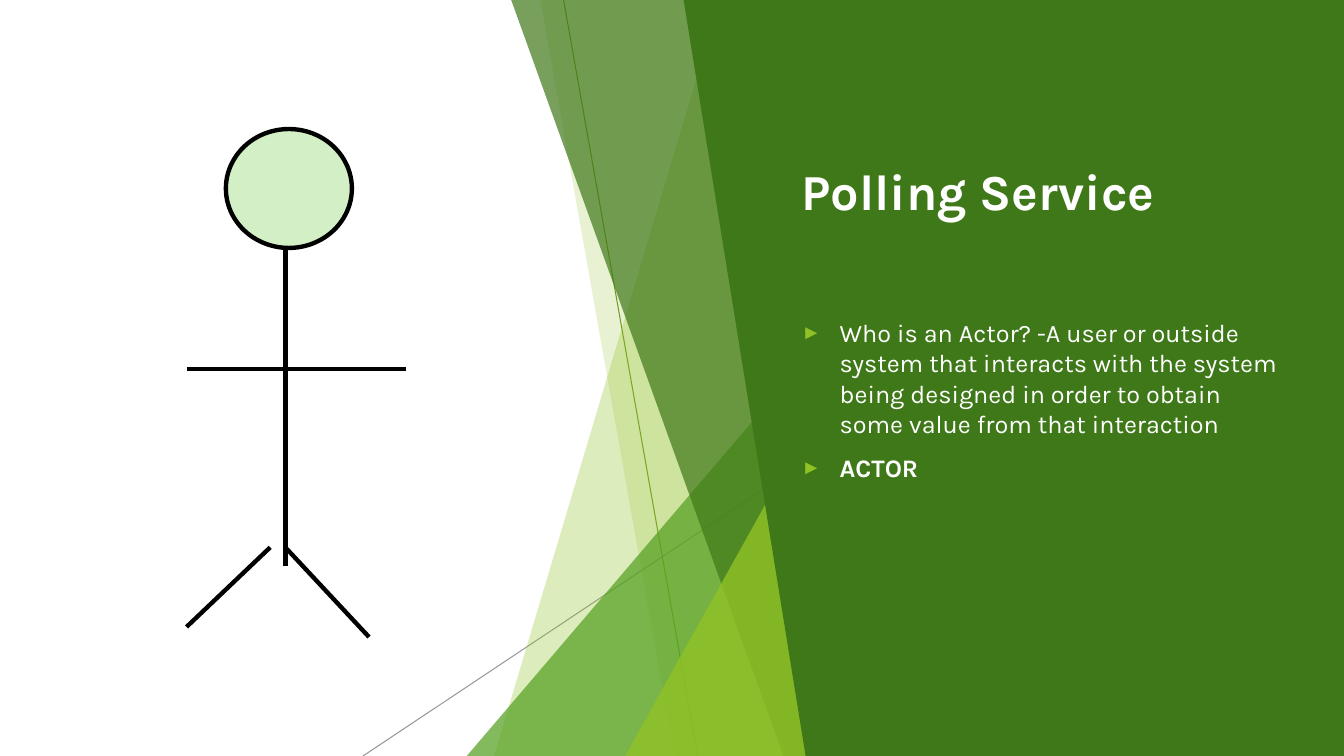
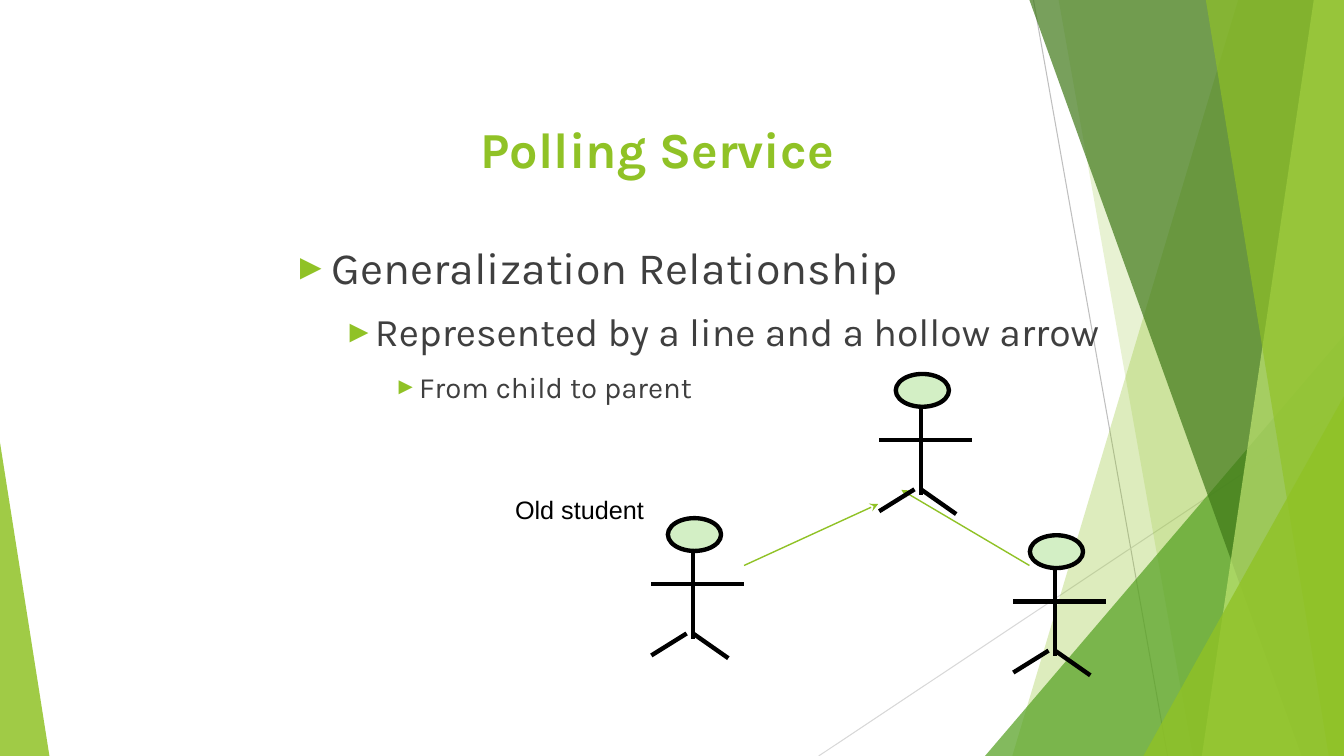
from dataclasses import dataclass
from typing import Any

from lxml.etree import SubElement
from pptx import Presentation
from pptx.dml.color import RGBColor
from pptx.enum.shapes import MSO_CONNECTOR, MSO_SHAPE
from pptx.enum.text import MSO_ANCHOR, PP_ALIGN
from pptx.oxml.ns import qn
from pptx.util import Inches, Pt

STRAIGHT = MSO_CONNECTOR.STRAIGHT
OVAL, WEDGE = MSO_SHAPE.OVAL, MSO_SHAPE.ISOSCELES_TRIANGLE
LEFT, CENTER = PP_ALIGN.LEFT, PP_ALIGN.CENTER
TOP, MIDDLE = MSO_ANCHOR.TOP, MSO_ANCHOR.MIDDLE

Point = tuple[float, float]
Box = tuple[float, float, float, float]


@dataclass(frozen=True)
class Theme:
    lime: str = "90C226"
    pale: str = "BFE471"
    leaf: str = "54A021"
    deep: str = "3F7818"
    mint: str = "D3EFC5"
    white: str = "FFFFFF"
    black: str = "000000"
    gray: str = "3F3F3F"
    font: str = "Karla"
    plain: str = "Arial"
    title: float = 36
    large: float = 32
    mid: float = 28
    small: float = 21
    text: float = 18
    thin: float = 0.75
    link: float = 1
    bold: float = 3.12


THEME = Theme()
WIDE, HIGH = 13.33, 7.5


@dataclass(frozen=True)
class Facet:
    """A sheer pane; top and foot are measured leftward from its right edge."""
    top: float
    foot: float
    color: str
    alpha: int
    outer: bool = False


@dataclass(frozen=True)
class Peak:
    """A right triangle standing on the slide's foot."""
    wide: float
    top: float
    color: str
    alpha: int
    outer: bool = False


@dataclass(frozen=True)
class Ray:
    start: Point
    end: Point
    color: str
    alpha: int = 100


@dataclass(frozen=True)
class Item:
    text: str
    size: float
    left: float = 0.38
    hang: float = 0.38
    bold: bool = False


FACETS = (
    Facet(1.05, 3.29, THEME.lime, 30),
    Facet(2.83, 1.5, THEME.lime, 20),
    Peak(3.56, 3.33, THEME.leaf, 72),
    Facet(3.12, 0.42, THEME.deep, 70),
    Facet(0.3, 1.41, THEME.pale, 70, outer=True),
    Facet(1.37, 0.15, THEME.lime, 65, outer=True),
    Peak(1.99, 3.93, THEME.lime, 80),
)

# Stick figure, laid out on its own grid
BODY: Point = (2.18, 5.04)
HEAD: Box = (0.39, 0, 1.25, 1.18)
LIMBS: tuple[tuple[Point, Point], ...] = (
    ((0.98, 1.18), (0.98, 4.34)),
    ((0, 2.38), (2.18, 2.38)),
    ((0.83, 4.15), (0, 4.94)),
    ((0.98, 4.15), (1.81, 5.04)),
)


def rgb(color: str) -> RGBColor:
    return RGBColor.from_string(color)


def fade(shape: Any, alpha: int) -> None:
    """Make the shape's first plain colour see-through."""
    if alpha < 100:
        tint = shape.element.find(".//" + qn("a:srgbClr"))
        SubElement(tint, qn("a:alpha"), val=str(alpha * 1000))


def paint(shape: Any, color: str, alpha: int = 100) -> None:
    shape.shadow.inherit = False
    shape.fill.solid()
    shape.fill.fore_color.rgb = rgb(color)
    shape.line.fill.background()
    fade(shape, alpha)


def stroke(shapes: Any, start: Point, end: Point, *, color: str,
           width: float, alpha: int = 100, arrow: bool = False) -> None:
    line = shapes.add_connector(STRAIGHT, *map(Inches, start + end))
    line.line.color.rgb = rgb(color)
    line.line.width = Pt(width)
    fade(line, alpha)
    props = line.element.spPr
    if arrow:
        SubElement(props.find(qn("a:ln")), qn("a:tailEnd"), type="stealth")
    SubElement(props, qn("a:effectLst"))


def pane(shapes: Any, points: list[Point], color: str,
         alpha: int = 100) -> None:
    first, *rest = [(Inches(x), Inches(y)) for x, y in points]
    form = shapes.build_freeform(*first)
    form.add_line_segments(rest)
    paint(form.convert_to_shape(), color, alpha)


def wedge(shapes: Any, box: Box, apex: float, color: str, alpha: int) -> None:
    shape = shapes.add_shape(WEDGE, *map(Inches, box))
    shape.adjustments[0] = apex
    paint(shape, color, alpha)


def backdrop(shapes: Any, edge: float, rays: tuple[Ray, ...],
             outer: bool) -> None:
    """Draw rays and facets up to the given right edge."""
    for ray in rays:
        stroke(shapes, ray.start, ray.end, color=ray.color,
               width=THEME.thin, alpha=ray.alpha)
    for part in FACETS:
        if part.outer and not outer:
            continue
        if isinstance(part, Peak):
            box = (edge - part.wide, part.top, part.wide, HIGH - part.top)
            wedge(shapes, box, 1, part.color, part.alpha)
        else:
            pane(shapes, [(edge - part.top, 0), (edge, 0), (edge, HIGH),
                          (edge - part.foot, HIGH)], part.color, part.alpha)


def bullet(para: Any, item: Item) -> None:
    props = para._p.get_or_add_pPr()
    props.set("marL", str(Inches(item.left)))
    props.set("indent", str(-Inches(item.hang)))
    tint = SubElement(props, qn("a:buClr"))
    SubElement(tint, qn("a:srgbClr"), val=THEME.lime)
    SubElement(props, qn("a:buSzPct"), val="80000")
    SubElement(props, qn("a:buFont"), typeface=THEME.plain)
    SubElement(props, qn("a:buChar"), char="►")


def write(shapes: Any, box: Box, *items: Item, color: str,
          font: str = THEME.font, align: PP_ALIGN = LEFT,
          anchor: MSO_ANCHOR = TOP, marks: bool = False) -> None:
    frame = shapes.add_textbox(*map(Inches, box)).text_frame
    frame.word_wrap = True
    frame.vertical_anchor = anchor
    for spot, item in enumerate(items):
        para = frame.add_paragraph() if spot else frame.paragraphs[0]
        para.alignment = align
        if spot:
            para.space_before = Pt(10)
        if marks:
            bullet(para, item)
        run = para.add_run()
        run.text = item.text
        run.font.name = font
        run.font.size = Pt(item.size)
        run.font.bold = item.bold
        run.font.color.rgb = rgb(color)


def title(shapes: Any, box: Box, color: str, **style: Any) -> None:
    item = Item("Polling Service", THEME.title, bold=True)
    write(shapes, box, item, color=color, **style)


def actor(shapes: Any, left: float, top: float, wide: float,
          high: float) -> None:
    """Draw a grouped stick figure scaled to the given box."""
    group = shapes.add_group_shape().shapes
    across, down = wide / BODY[0], high / BODY[1]

    def place(point: Point) -> Point:
        return left + point[0] * across, top + point[1] * down

    for start, end in LIMBS:
        stroke(group, place(start), place(end), color=THEME.black,
               width=THEME.bold)
    size = (HEAD[2] * across, HEAD[3] * down)
    head = group.add_shape(OVAL, *map(Inches, place(HEAD[:2]) + size))
    paint(head, THEME.mint)
    head.line.color.rgb = rgb(THEME.black)
    head.line.width = Pt(THEME.bold)


def define(shapes: Any) -> None:
    """Fill the slide that says what an actor is."""
    rays = (Ray((5.59, 0), (6.92, HIGH), "6C911C"),
            Ray((8.81, 4.03), (3.6, HIGH), "7F7F7F", 80))
    backdrop(shapes, 8.19, rays, outer=False)
    pane(shapes, [(6.78, 0), (WIDE, 0), (WIDE, HIGH), (7.99, HIGH)],
         THEME.deep)
    title(shapes, (7.85, 0.67, 4.94, 2.44), THEME.white, anchor=MIDDLE)
    write(shapes, (7.85, 3.1, 4.94, 3.63),
          Item("Who is an Actor? -A user or outside system that interacts "
               "with the system being designed in order to obtain some "
               "value from that interaction", THEME.text),
          Item("ACTOR", THEME.text, bold=True),
          color=THEME.white, marks=True)
    actor(shapes, 1.85, 1.28, *BODY)


def relate(shapes: Any) -> None:
    """Fill the slide on links from child to parent."""
    rays = (Ray((10.25, 0), (11.58, HIGH), "BFBFBF"),
            Ray((WIDE, 4.03), (8.12, HIGH), "D8D8D8"))
    backdrop(shapes, WIDE, rays, outer=True)
    wedge(shapes, (0, 4.39, 0.49, 3.11), 0, THEME.lime, 85)
    title(shapes, (2.68, 1.12, 7.68, 0.82), THEME.lime, align=CENTER)
    write(shapes, (2.81, 2.33, 8.27, 5.17),
          Item("Generalization Relationship", THEME.large),
          Item("Represented by a line and a hollow arrow", THEME.mid,
               0.81, 0.31),
          Item("From child to parent", THEME.small, 1.25, 0.25),
          color=THEME.gray, marks=True)
    for start, end in (((10.21, 5.61), (8.94, 4.86)),
                       ((7.38, 5.61), (8.71, 5))):
        stroke(shapes, start, end, color=THEME.lime, width=THEME.link,
               arrow=True)
    for left, top in ((6.46, 5.14), (8.72, 3.71), (10.05, 5.31)):
        actor(shapes, left, top, 0.92, 1.39)
    write(shapes, (5.01, 4.85, 1.62, 0.4), Item("Old student", THEME.text),
          color=THEME.black, font=THEME.plain)


def main() -> None:
    deck = Presentation()
    deck.slide_width, deck.slide_height = Inches(WIDE), Inches(HIGH)
    blank = deck.slide_layouts[6]
    for fill in (define, relate):
        fill(deck.slides.add_slide(blank).shapes)
    deck.save("out.pptx")


if __name__ == "__main__":
    main()
